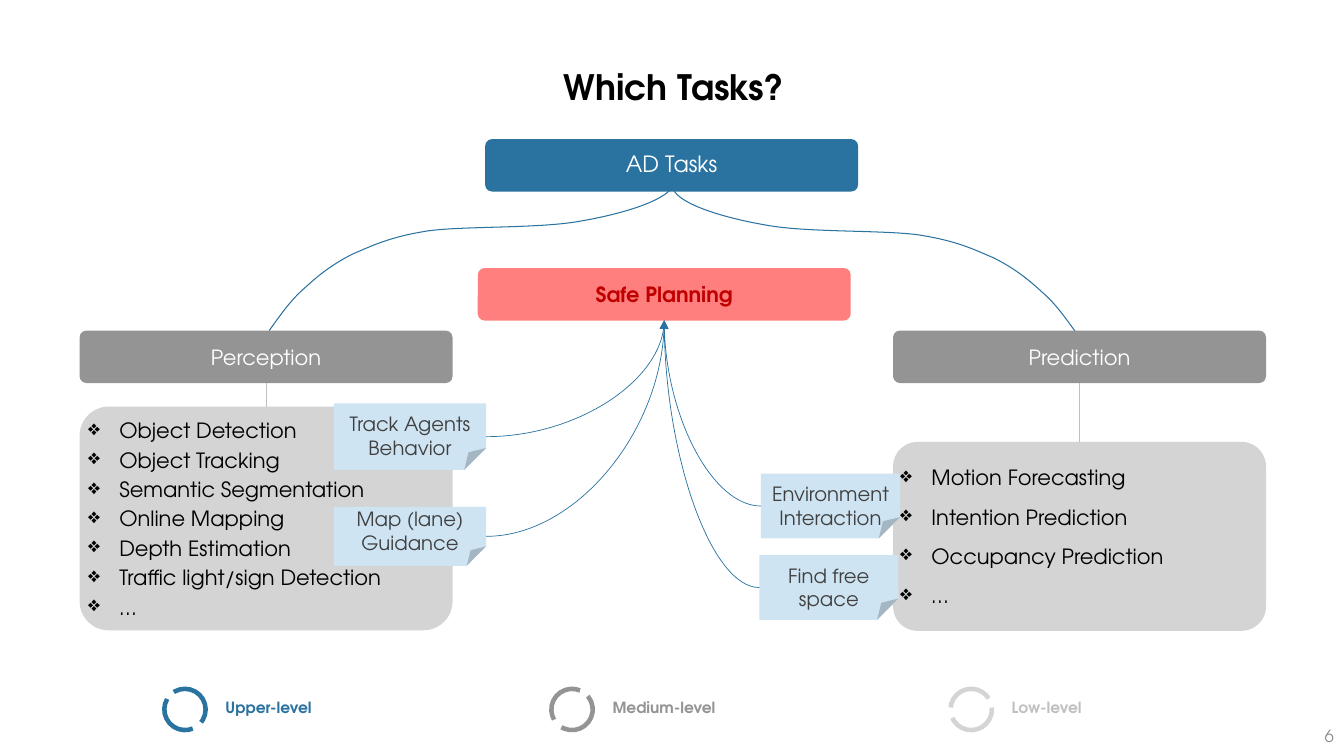
"""Build the task overview slide on a grid of 160 columns by 90 rows."""
from dataclasses import dataclass

from lxml import etree
from pptx import Presentation
from pptx.dml.color import RGBColor
from pptx.enum.shapes import MSO_CONNECTOR, MSO_SHAPE
from pptx.enum.text import MSO_ANCHOR, MSO_AUTO_SIZE, PP_ALIGN
from pptx.oxml.ns import qn
from pptx.util import Inches, Pt

ROUND, FOLDED, ARC = MSO_SHAPE.ROUNDED_RECTANGLE, MSO_SHAPE.FOLDED_CORNER, MSO_SHAPE.ARC
STRAIGHT, CURVE = MSO_CONNECTOR.STRAIGHT, MSO_CONNECTOR.CURVE
LEFT, CENTER, RIGHT = PP_ALIGN.LEFT, PP_ALIGN.CENTER, PP_ALIGN.RIGHT
TOP, MIDDLE = MSO_ANCHOR.TOP, MSO_ANCHOR.MIDDLE
TOP_SIDE, LEFT_SIDE, BOTTOM_SIDE, RIGHT_SIDE = range(4)

FONT = "TeX Gyre Adventor"
WIDTH, HEIGHT = Inches(13.33), Inches(7.5)
COLS, ROWS = 160, 90
BAR_W, BAR_H = 44.4, 6.24
LEFT_COL, RIGHT_COL = 9.48, 106.32
RING, RING_ROW = 4.92, 82
COLORS = {
    "blue": "2A729F", "grey": "949494", "light": "D4D4D4", "link": "BFBFBF",
    "black": "000000", "white": "FFFFFF", "offwhite": "FEFFFF", "red": "FF0000",
    "dark_red": "C00000", "note": "CEE4F2", "note_text": "404040", "page": "8C8C8C",
}
BRANCH = [
    (0.84, 1.8), (6, 3.36), (10.8, 4.2), (15.72, 5.16), (24.6, 4.8),
    (29.16, 5.4), (33.72, 6.12), (35.64, 7.08), (38.16, 8.16), (40.56, 9.36),
    (42.24, 10.68), (43.92, 12.24), (45.6, 13.68), (46.8, 15.48), (48.12, 17.28),
]


@dataclass
class Box:
    text: str
    col: float
    row: float
    cols: float
    rows: float
    fill: str
    color: str
    size: float = 15
    bold: bool = False
    after: float = 10
    align: PP_ALIGN = CENTER
    anchor: MSO_ANCHOR = MIDDLE
    bullets: bool = False
    spacing: float | None = None


@dataclass
class Label:
    text: str
    col: float
    row: float
    cols: float
    rows: float
    color: str
    size: float
    bold: bool = True
    align: PP_ALIGN = LEFT


@dataclass
class Level:
    text: str
    col: float
    turn: float
    cols: float
    ring: str
    color: str


PERCEPTION = Box("Perception", LEFT_COL, 39.36, BAR_W, BAR_H, "grey", "white")
PREDICTION = Box("Prediction", RIGHT_COL, 39.36, BAR_W, BAR_H, "grey", "white")
PERCEPTION_LIST = Box(
    "Object Detection\nObject Tracking\nSemantic Segmentation\nOnline Mapping\n"
    "Depth Estimation\nTraffic light/sign Detection\n…",
    LEFT_COL, 48.4, BAR_W, 26.64, "light", "black", after=3, align=LEFT, bullets=True)
PREDICTION_LIST = Box(
    "Motion Forecasting\nIntention Prediction\nOccupancy Prediction\n…",
    RIGHT_COL, 52.6, BAR_W, 22.5, "light", "black", align=LEFT, bullets=True)
AD_TASKS = Box("AD Tasks", 57.76, 16.56, BAR_W, BAR_H, "blue", "offwhite", 16, spacing=0.9)
PLANNING = Box("Safe Planning", 56.88, 31.92, BAR_W, BAR_H, "red", "dark_red", bold=True)
NOTES = [
    (Box("Track Agents Behavior", 39.76, 48.04, 18.12, 7.9, "note", "note_text", 14,
         after=0, anchor=TOP), RIGHT_SIDE),
    (Box("Map (lane) Guidance", 39.76, 60.36, 18.12, 7, "note", "note_text", 14,
         after=0), RIGHT_SIDE),
    (Box("Environment Interaction", 90.6, 56.4, 16.56, 7.7, "note", "note_text", 14,
         after=0, anchor=TOP), LEFT_SIDE),
    (Box("Find free space", 90.4, 66.1, 16.56, 7.7, "note", "note_text", 14,
         after=0, anchor=TOP), LEFT_SIDE),
]
LEVELS = [
    Level("Upper-level", 19.56, 0, 12.84, "blue", "blue"),
    Level("Medium-level", 65.64, 82.4, 14.88, "grey", "grey"),
    Level("Low-level", 113.16, 117.5, 10.92, "light", "link"),
]


def x(col: float) -> int:
    return round(WIDTH * col / COLS)


def y(row: float) -> int:
    return round(HEIGHT * row / ROWS)


def rgb(name: str) -> RGBColor:
    return RGBColor.from_string(COLORS[name])


def format_text(tf, item: Box | Label) -> None:
    tf.text = item.text
    for p in tf.paragraphs:
        p.alignment = item.align
        for r in p.runs:
            r.font.name, r.font.size, r.font.bold = FONT, Pt(item.size), item.bold
            r.font.color.rgb = rgb(item.color)


def add_box(s, box: Box, kind=ROUND, adjust: int = 13000, top: float = 0):
    sp = s.shapes.add_shape(kind, x(box.col), y(box.row), x(box.cols), y(box.rows))
    sp.shadow.inherit = False
    guides = sp._element.spPr.find(".//" + qn("a:avLst"))
    etree.SubElement(guides, qn("a:gd"), name="adj", fmla=f"val {adjust}")
    sp.fill.solid()
    sp.fill.fore_color.rgb = rgb(box.fill)
    sp.line.fill.background()
    tf = sp.text_frame
    tf.word_wrap, tf.vertical_anchor = True, box.anchor
    tf.margin_left = tf.margin_right = tf.margin_bottom = 0
    tf.margin_top = y(top)
    format_text(tf, box)
    for p in tf.paragraphs:
        if box.bullets:
            pPr = p._p.get_or_add_pPr()
            pPr.set("marL", str(Inches(0.31)))
            pPr.set("indent", str(-Inches(0.31)))
            etree.SubElement(pPr, qn("a:buChar")).set("char", "❖")
        p.space_after = Pt(box.after)
        if box.spacing:
            p.line_spacing = box.spacing
    return sp


def add_label(s, label: Label):
    sp = s.shapes.add_textbox(x(label.col), y(label.row), x(label.cols), y(label.rows))
    tf = sp.text_frame
    tf.word_wrap, tf.auto_size = False, MSO_AUTO_SIZE.SHAPE_TO_FIT_TEXT
    format_text(tf, label)
    return sp


def add_branch(s, row: float, side: int) -> None:
    points = [(x(80.16 + side * dx), y(row + dy)) for dx, dy in BRANCH]
    builder = s.shapes.build_freeform(x(80.16), y(row), scale=1.0)
    builder.add_line_segments(points, close=False)
    sp = builder.convert_to_shape()
    sp.shadow.inherit = False
    sp.fill.background()
    sp.line.color.rgb, sp.line.width = rgb("blue"), Pt(0.75)
    steps = sp._element.xpath(".//a:lnTo")
    for i in range(0, len(steps), 3):
        curve = etree.Element(qn("a:cubicBezTo"))
        steps[i].addprevious(curve)
        for step in steps[i:i + 3]:
            curve.append(step[0])
            step.getparent().remove(step)


def join(s, kind, start, start_side: int, end, end_side: int, color: str, width: float):
    cx = s.shapes.add_connector(kind, 0, 0, 0, 0)
    cx.begin_connect(start, start_side)
    cx.end_connect(end, end_side)
    cx.line.color.rgb, cx.line.width = rgb(color), Pt(width)
    etree.SubElement(cx._element.spPr, qn("a:effectLst"))
    return cx


def add_level(s, level: Level) -> None:
    group = s.shapes.add_group_shape()
    for turn, begin, end in ((0, 142.39, 23.1), (183.1, 146.93, 16.41)):
        sp = group.shapes.add_shape(ARC, x(level.col), y(RING_ROW), x(RING), y(RING))
        sp.shadow.inherit = False
        sp.adjustments[0], sp.adjustments[1] = begin, end
        sp.rotation = level.turn + turn
        sp.fill.background()
        sp.line.color.rgb, sp.line.width = rgb(level.ring), Pt(3.25)
    add_label(s, Label(level.text, level.col + 6.1, 82.5, level.cols, 3.48, level.color, 11))


def main() -> None:
    prs = Presentation()
    prs.slide_width, prs.slide_height = WIDTH, HEIGHT
    s = prs.slides.add_slide(prs.slide_layouts[6])
    add_branch(s, 22.56, 1)
    add_branch(s, 22.08, -1)
    for head, panel in ((PERCEPTION, PERCEPTION_LIST), (PREDICTION, PREDICTION_LIST)):
        join(s, STRAIGHT, add_box(s, head), BOTTOM_SIDE, add_box(s, panel), TOP_SIDE, "link", 0.75)
    add_label(s, Label("Which Tasks?", 65.64, 7.2, 29.16, 6.24, "black", 25, align=CENTER))
    for level in LEVELS:
        add_level(s, level)
    add_box(s, AD_TASKS)
    planning = add_box(s, PLANNING)
    red = planning._element.spPr.find(".//" + qn("a:srgbClr"))
    etree.SubElement(red, qn("a:alpha")).set("val", "50000")
    for note, side in NOTES:
        sp = add_box(s, note, FOLDED, 33000, 1)
        cx = join(s, CURVE, sp, side, planning, BOTTOM_SIDE, "blue", 0.5)
        cx._element.spPr.find(qn("a:prstGeom")).set("prst", "curvedConnector2")
        etree.SubElement(cx._element.spPr.find(qn("a:ln")), qn("a:tailEnd")).set("type", "triangle")
    page = add_label(s, Label("6", 124, 85.2, 36, 4.8, "page", 12, False, RIGHT)).text_frame
    page.word_wrap, page.auto_size, page.vertical_anchor = True, MSO_AUTO_SIZE.NONE, MIDDLE
    prs.save("out.pptx")


if __name__ == "__main__":
    main()
